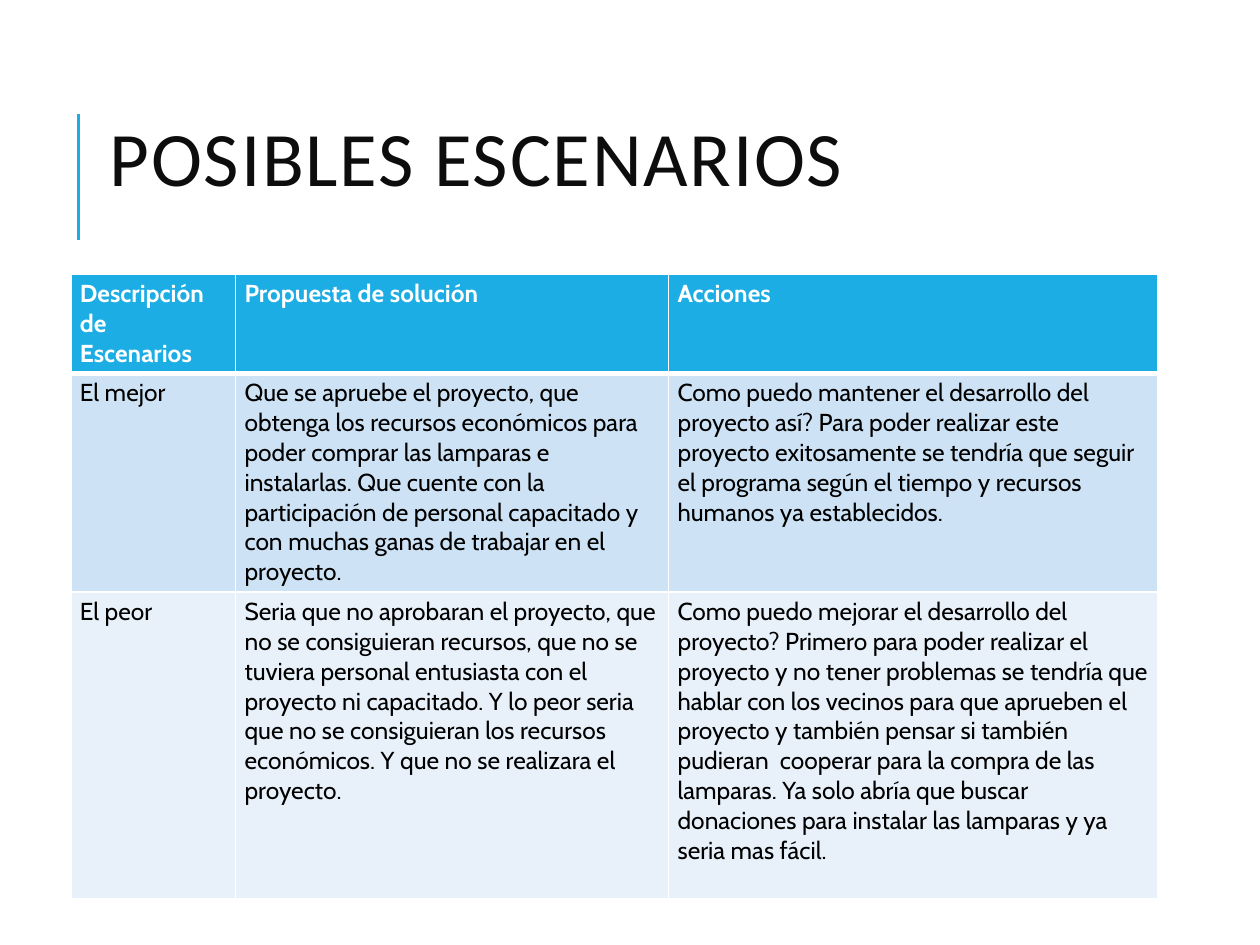
from lxml import etree
from pptx import Presentation
from pptx.dml.color import RGBColor
from pptx.enum import shapes, text
from pptx.oxml import ns
from pptx.util import Cm, Pt

COLORS = {
    "accent": "1CADE4",
    "title": "0D0D0D",
    "white": "FFFFFF",
    "black": "000000",
    "best": "CDE3F5",
    "worst": "E8F1FA",
}

SCENARIOS = [
    ["Descripción de\nEscenarios", "Propuesta de solución ", "Acciones"],
    ["El mejor",
     "Que se apruebe el proyecto, que obtenga los recursos económicos para poder "
     "comprar las lamparas e instalarlas. Que cuente con la participación de personal "
     "capacitado y con muchas ganas de trabajar en el proyecto. ",
     "Como puedo mantener el desarrollo del proyecto así? Para poder realizar este "
     "proyecto exitosamente se tendría que seguir el programa según el tiempo y "
     "recursos humanos ya establecidos."],
    ["El peor",
     "Seria que no aprobaran el proyecto, que no se consiguieran recursos, que no se "
     "tuviera personal entusiasta con el proyecto ni capacitado. Y lo peor seria que no "
     "se consiguieran los recursos económicos. Y que no se realizara el proyecto. ",
     "Como puedo mejorar el desarrollo del proyecto? Primero para poder realizar el "
     "proyecto y no tener problemas se tendría que hablar con los vecinos para que "
     "aprueben el proyecto y también pensar si también pudieran  cooperar para la compra "
     "de las lamparas. Ya solo abría que buscar donaciones para instalar las lamparas y "
     "ya seria mas fácil. "],
]
ROW_FILLS = ["accent", "best", "worst"]
COLUMN_WIDTHS = [3.32, 8.73, 9.85]
ROW_HEIGHTS = [1.98, 4.39, 6.19]


def rgb(name):
    return RGBColor.from_string(COLORS[name])


def style_font(font, name, size, color, bold=False):
    font.name, font.size, font.bold = name, Pt(size), bold
    font.color.rgb = rgb(color)


def add_heading(slide, left, top, width, height):
    """Title with the accent rule to its left."""
    heading = slide.shapes.title
    heading.left, heading.top = Cm(left), Cm(top)
    heading.width, heading.height = Cm(width), Cm(height)
    frame = heading.text_frame
    frame.text = "POSIBLES ESCENARIOS "
    frame.word_wrap = True
    frame.auto_size = text.MSO_AUTO_SIZE.NONE
    frame.vertical_anchor = text.MSO_ANCHOR.MIDDLE
    line = frame.paragraphs[0]
    line.alignment = text.PP_ALIGN.LEFT
    line.line_spacing = 0.8
    style_font(line.runs[0].font, "Calibri", 44, "title")
    line.runs[0].font._element.set("spc", "100")

    # Accent rule
    x, rule_top = Cm(left - 0.38), top + 0.36
    rule = slide.shapes.add_connector(
        shapes.MSO_CONNECTOR.STRAIGHT, x, Cm(rule_top + 2.54), x, Cm(rule_top))
    rule.line.color.rgb = rgb("accent")
    rule.line.width = Pt(1.5)
    etree.SubElement(rule._element.spPr, ns.qn("a:effectLst"))


def set_borders(cell, widths):
    """White borders; widths maps a side (L, R, T, B) to points."""
    properties = cell._tc.get_or_add_tcPr()
    for index, (side, width) in enumerate(widths.items()):
        border = etree.Element(ns.qn(f"a:ln{side}"), w=str(Pt(width)))
        fill = etree.SubElement(border, ns.qn("a:solidFill"))
        etree.SubElement(fill, ns.qn("a:srgbClr"), val=COLORS["white"])
        properties.insert(index, border)


def add_scenarios(slide, left, top):
    """Scenario table: header row, best case, worst case."""
    scenarios = slide.shapes.add_table(
        len(ROW_HEIGHTS), len(COLUMN_WIDTHS), Cm(left), Cm(top),
        Cm(sum(COLUMN_WIDTHS)), Cm(sum(ROW_HEIGHTS))).table
    for column, width in zip(scenarios.columns, COLUMN_WIDTHS):
        column.width = Cm(width)
    for r, (row, height) in enumerate(zip(scenarios.rows, ROW_HEIGHTS)):
        row.height = Cm(height)
        header = r == 0
        for cell, content in zip(row.cells, SCENARIOS[r]):
            cell.text_frame.text = content
            cell.margin_left = cell.margin_right = Cm(0.18)
            cell.margin_top = cell.margin_bottom = Cm(0.1)
            cell.fill.solid()
            cell.fill.fore_color.rgb = rgb(ROW_FILLS[r])
            set_borders(cell, {"L": 1, "R": 1, "T": 3 if r == 1 else 1,
                               "B": 3 if header else 1})
            for paragraph in cell.text_frame.paragraphs:
                style_font(paragraph.runs[0].font, "Cabin", 14,
                           "white" if header else "black", header)


deck = Presentation()
deck.slide_width, deck.slide_height = Cm(25.4), Cm(19.05)
scenario_slide = deck.slides.add_slide(deck.slide_layouts[5])
add_heading(scenario_slide, 1.96, 1.93, 21.9, 2.77)
add_scenarios(scenario_slide, 1.43, 5.52)
deck.save("out.pptx")
